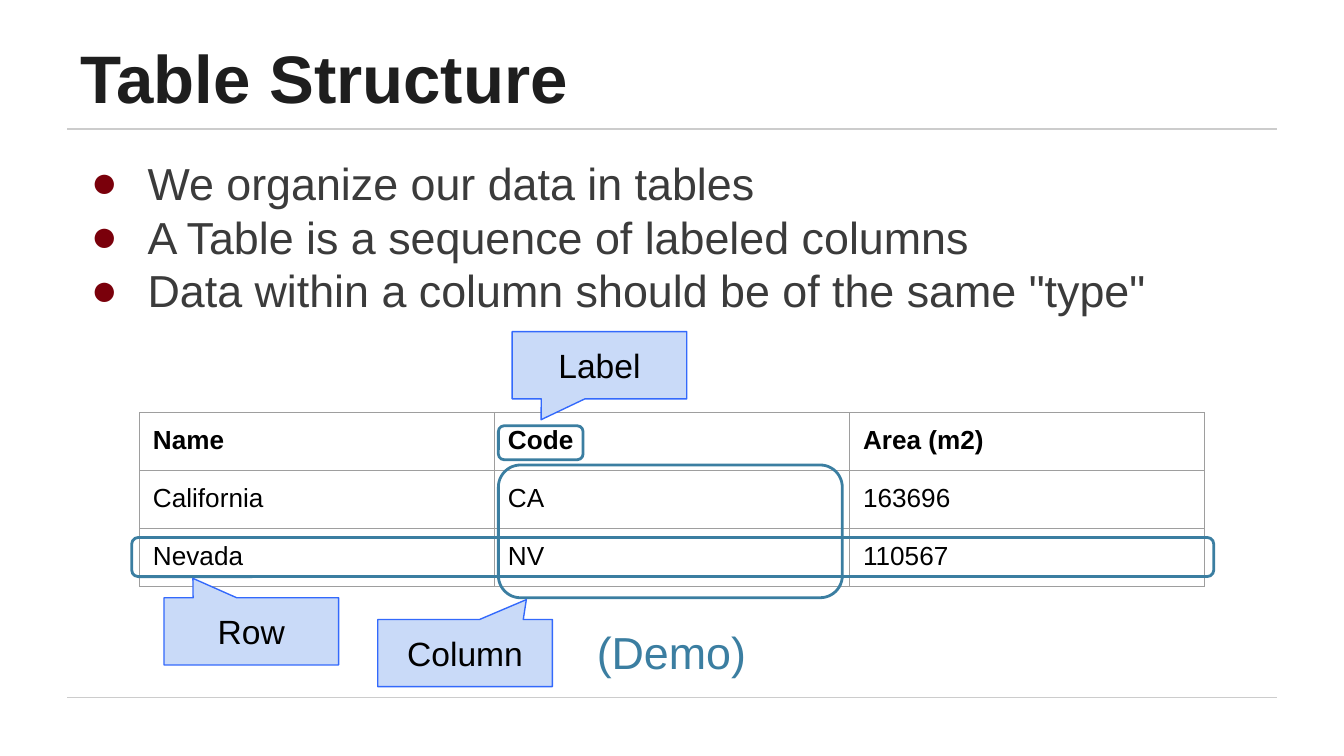
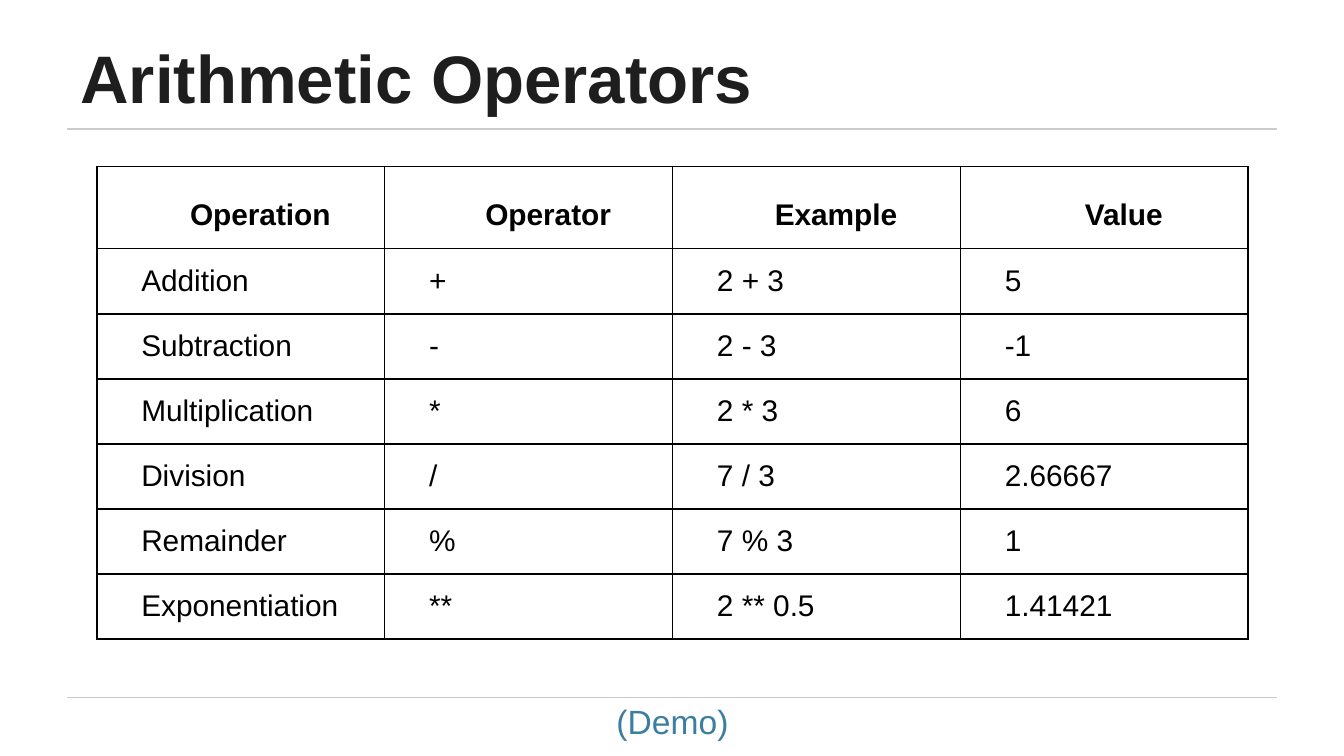
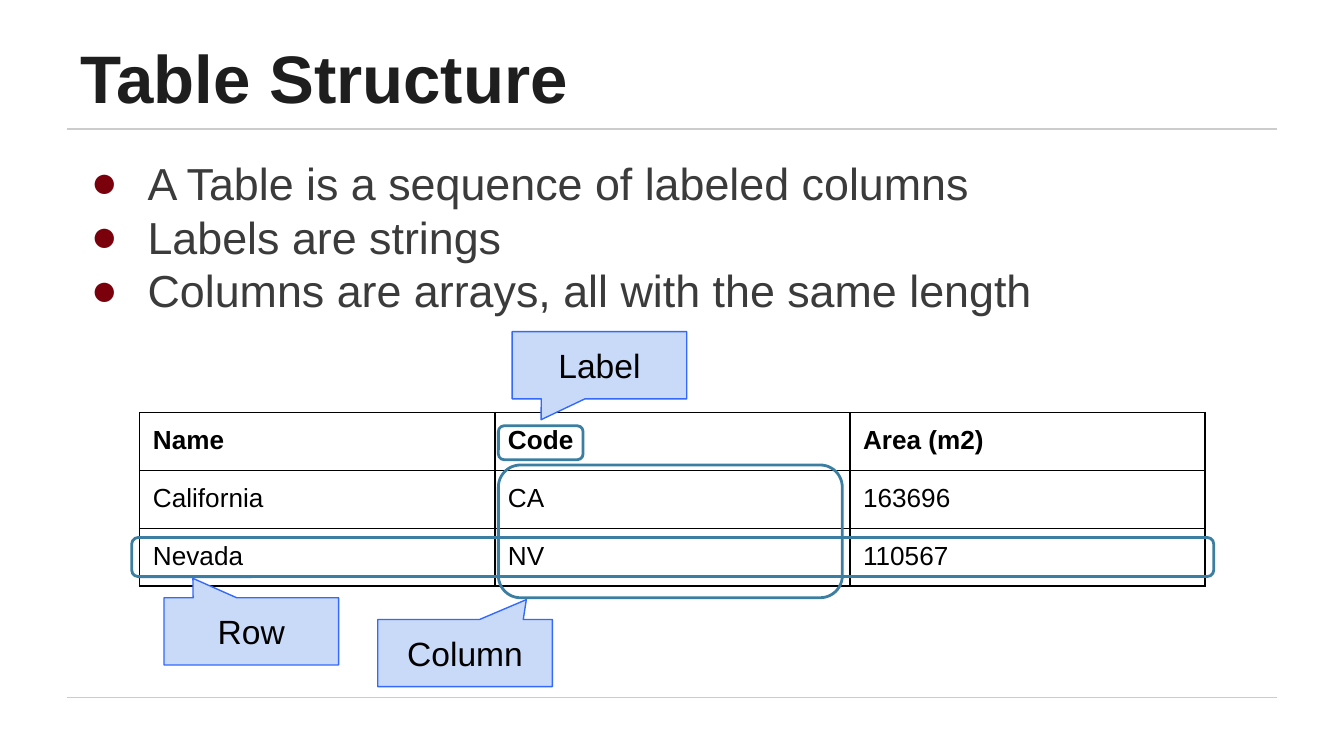
from lxml import etree
from pptx import Presentation
from pptx import util as u
from pptx.dml.color import RGBColor
from pptx.enum import shapes, text
from pptx.oxml import ns

FONT = "Arial"
BLACK = RGBColor(0x00, 0x00, 0x00)
TITLE_INK = RGBColor(0x1E, 0x1E, 0x1E)
BODY_INK = RGBColor(0x3B, 0x3B, 0x3B)
BULLET_RED = RGBColor(0x7A, 0x00, 0x0B)
RULE_GREY = RGBColor(0xCC, 0xCC, 0xCC)
GRID_GREY = RGBColor(0x9E, 0x9E, 0x9E)
ACCENT = RGBColor(0x3B, 0x7E, 0xA1)
CALLOUT_FILL = RGBColor(0xC9, 0xDA, 0xF8)
CALLOUT_LINE = RGBColor(0x33, 0x69, 0xFC)

INSET = 0.25
CALLOUT_SIZE = (3.3, 1.27)
STATES = [
    ("Name", "Code", "Area (m2)"),
    ("California", "CA", "163696"),
    ("Nevada", "NV", "110567"),
]
OPERATIONS = [
    ("Operation", "Operator", "Example", "Value"),
    ("Addition", "+", "2 + 3", "5"),
    ("Subtraction", "-", "2 - 3", "-1"),
    ("Multiplication", "*", "2 * 3", "6"),
    ("Division", "/", "7 / 3", "2.66667"),
    ("Remainder", "%", "7 % 3", "1"),
    ("Exponentiation", "**", "2 ** 0.5", "1.41421"),
]
ANNOTATIONS = [
    ("Label", (9.42, 8.05, 1.6, 0.64), (9.68, 6.27), (-0.334, 0.811)),
    ("Column", (9.42, 8.79, 6.5, 2.51), (7.14, 11.71), (0.351, -0.796)),
    ("Row", (2.49, 10.16, 20.45, 0.74), (3.1, 11.3), (-0.334, -0.789)),
]


def cm(*lengths):
    """Turn numbers in centimetres into lengths."""
    return [u.Cm(length) for length in lengths]


def add_element(parent, tag, **attributes):
    """Append a DrawingML element and return it."""
    return etree.SubElement(parent, ns.qn(tag), attributes)


def format_text(frame, size, color, bold=False, align=text.PP_ALIGN.LEFT):
    """Format every paragraph and run of a text frame."""
    for paragraph in frame.paragraphs:
        paragraph.alignment = align
        for run in paragraph.runs:
            run.font.name = FONT
            run.font.size = u.Pt(size)
            run.font.bold = bold
            run.font.color.rgb = color


def set_insets(owner, inset):
    """Give a text frame or a cell the same margin on all sides."""
    owner.margin_left = owner.margin_right = u.Cm(inset)
    owner.margin_top = owner.margin_bottom = u.Cm(inset)


def add_text(slide, place, words, size, color, anchor=text.MSO_ANCHOR.TOP, **style):
    """Add a wrapping text box and return its frame."""
    frame = slide.shapes.add_textbox(*cm(*place)).text_frame
    frame.word_wrap = True
    frame.vertical_anchor = anchor
    set_insets(frame, INSET)
    frame.text = words
    format_text(frame, size, color, **style)
    return frame


def add_rule(slide, height):
    """Draw a thin grey rule across the slide."""
    rule = slide.shapes.add_connector(
        shapes.MSO_CONNECTOR.STRAIGHT, *cm(1.27, height, 24.13, height))
    rule.line.color.rgb = RULE_GREY
    rule.line.width = u.Pt(0.75)
    add_element(rule._element.spPr, "a:effectLst")


def add_titled_slide(deck, title):
    """Add a blank slide with the shared rules and title."""
    slide = deck.slides.add_slide(deck.slide_layouts[6])
    for height in (2.44, 13.18):
        add_rule(slide, height)
    add_text(slide, (1.27, 0.58, 18.62, 1.88), title, 36, TITLE_INK,
             anchor=text.MSO_ANCHOR.BOTTOM, bold=True)
    return slide


def add_bullets(slide, points):
    """Add the list of points with red bullets."""
    frame = add_text(slide, (1.27, 2.69, 22.86, 3.68), "\n".join(points), 24, BODY_INK)
    for paragraph in frame.paragraphs:
        properties = paragraph._p.get_or_add_pPr()
        properties.set("marL", str(u.Cm(1.27)))
        properties.set("indent", str(u.Cm(-1.07)))
        bullet_color = add_element(properties, "a:buClr")
        add_element(bullet_color, "a:srgbClr", val=str(BULLET_RED))
        add_element(properties, "a:buFont", typeface=FONT)
        add_element(properties, "a:buChar", char="●")


def set_borders(cell, color, points):
    """Draw the four borders of a cell."""
    properties = cell._tc.get_or_add_tcPr()
    for side in ("a:lnL", "a:lnR", "a:lnT", "a:lnB"):
        border = add_element(properties, side, w=str(u.Pt(points)))
        fill = add_element(border, "a:solidFill")
        add_element(fill, "a:srgbClr", val=str(color))


def add_grid(slide, corner, rows, column_width, row_heights, size, inset, border):
    """Add a plain bordered table with a bold header row."""
    width = column_width * len(rows[0])
    grid = slide.shapes.add_table(
        len(rows), len(rows[0]), *cm(*corner, width, sum(row_heights))).table
    grid.first_row = grid.horz_banding = False
    for column in grid.columns:
        column.width = u.Cm(column_width)
    for index, (values, height) in enumerate(zip(rows, row_heights)):
        grid.rows[index].height = u.Cm(height)
        for cell, value in zip(grid.rows[index].cells, values):
            cell.text_frame.text = value
            format_text(cell.text_frame, size, BLACK, bold=index == 0)
            set_insets(cell, inset)
            set_borders(cell, *border)
            cell.fill.background()
    return grid


def add_operations(slide):
    """Add the operator table with indented cells and a spaced header."""
    heights = [1.55] + [1.23] * (len(OPERATIONS) - 1)
    grid = add_grid(slide, (1.83, 3.15), OPERATIONS, 5.44, heights, 16, 0.1, (BLACK, 1))
    for cell in grid.iter_cells():
        cell.vertical_anchor = text.MSO_ANCHOR.MIDDLE
        properties = cell.text_frame.paragraphs[0]._p.get_or_add_pPr()
        properties.set("marL", str(u.Cm(0.74)))
        properties.set("indent", "0")
    for cell in grid.rows[0].cells:
        heading = cell.text_frame.paragraphs[0]
        heading.alignment = text.PP_ALIGN.CENTER
        heading.line_spacing = 1.43
        heading.space_before = heading.space_after = u.Pt(11)


def add_annotation(slide, words, frame_place, callout_corner, pointer):
    """Group a rounded frame with the callout that names it."""
    group = slide.shapes.add_group_shape()
    frame = group.shapes.add_shape(
        shapes.MSO_SHAPE.ROUNDED_RECTANGLE, *cm(*frame_place))
    frame.shadow.inherit = False
    frame.fill.background()
    frame.line.color.rgb = ACCENT
    frame.line.width = u.Pt(1.5)

    callout = group.shapes.add_shape(
        shapes.MSO_SHAPE.ROUNDED_RECTANGULAR_CALLOUT, *cm(*callout_corner, *CALLOUT_SIZE))
    callout.shadow.inherit = False
    for index, adjustment in enumerate((*pointer, 0)):
        callout.adjustments[index] = adjustment
    callout.fill.solid()
    callout.fill.fore_color.rgb = CALLOUT_FILL
    callout.line.color.rgb = CALLOUT_LINE
    callout.line.width = u.Pt(0.75)
    callout.text_frame.text = words
    callout.text_frame.vertical_anchor = text.MSO_ANCHOR.MIDDLE
    set_insets(callout.text_frame, INSET)
    format_text(callout.text_frame, 18, BLACK, align=text.PP_ALIGN.CENTER)


def add_demo(slide, place, size):
    """Add the centred demo cue."""
    add_text(slide, place, "(Demo)", size, ACCENT, align=text.PP_ALIGN.CENTER)


def add_structure_slide(deck, points, border):
    """Add a slide that explains the parts of a table."""
    slide = add_titled_slide(deck, "Table Structure")
    add_bullets(slide, points)
    add_grid(slide, (2.64, 7.8), STATES, 6.71, [1.06] * len(STATES), 14, INSET, border)
    for annotation in ANNOTATIONS:
        add_annotation(slide, *annotation)
    return slide


def main():
    """Build and save the three slides."""
    deck = Presentation()
    deck.slide_width, deck.slide_height = cm(25.4, 14.29)

    organizing = add_structure_slide(deck, [
        "We organize our data in tables",
        "A Table is a sequence of labeled columns",
        'Data within a column should be of the same "type"',
    ], (GRID_GREY, 0.75))
    add_demo(organizing, (10.57, 11.56, 4.24, 1.52), 24)

    arithmetic = add_titled_slide(deck, "Arithmetic Operators")
    add_operations(arithmetic)
    add_demo(arithmetic, (10.46, 13, 4.5, 1.73), 18)

    add_structure_slide(deck, [
        "A Table is a sequence of labeled columns",
        "Labels are strings",
        "Columns are arrays, all with the same length",
    ], (BLACK, 1))

    deck.save("out.pptx")


if __name__ == "__main__":
    main()
